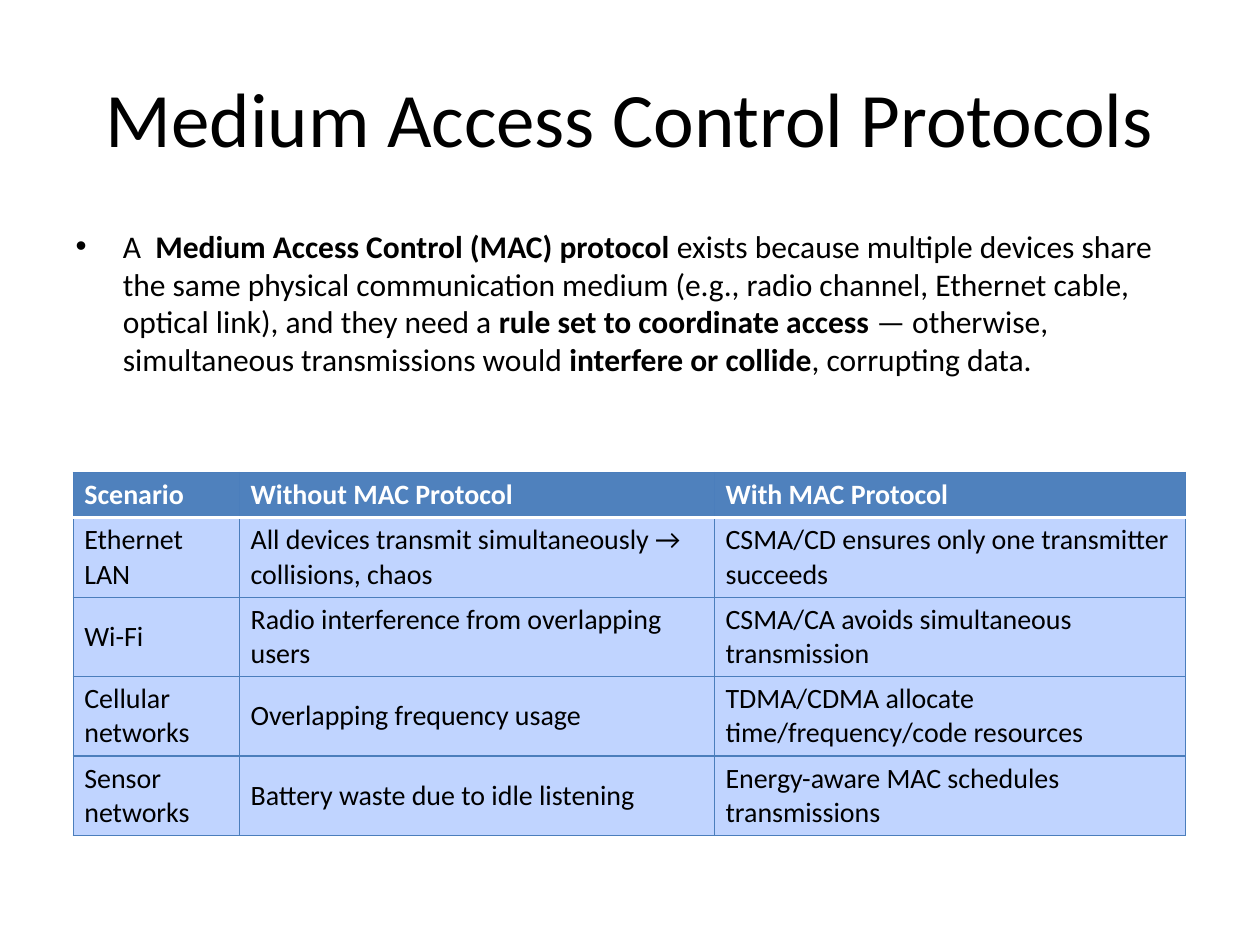
from lxml import etree
from pptx import Presentation
from pptx.dml.color import RGBColor
from pptx.enum.text import MSO_ANCHOR, PP_ALIGN
from pptx.oxml.ns import qn
from pptx.util import Inches, Pt

MIDDLE, CENTER = MSO_ANCHOR.MIDDLE, PP_ALIGN.CENTER
FONT = "Calibri"
COLORS = {"text": "000000", "header_text": "FFFFFF", "header": "4F81BD",
          "cell": "C0D4FF", "border": "4B7EBC", "header_rule": "FFFFFF"}

TITLE = "Medium Access Control Protocols"
BODY = [  # text, bold
    ("A ", False),
    (" Medium Access Control (MAC) protocol", True),
    (" exists because multiple devices share the same physical communication medium "
     "(e.g., radio channel, Ethernet cable, optical link), and they need a ", False),
    ("rule set to coordinate access", True),
    (" — otherwise, simultaneous transmissions would ", False),
    ("interfere or collide", True),
    (", corrupting data.", False),
]
ROWS = [
    ("Scenario", "Without MAC Protocol", "With MAC Protocol"),
    ("Ethernet LAN", "All devices transmit simultaneously → collisions, chaos",
     "CSMA/CD ensures only one transmitter succeeds"),
    ("Wi-Fi", "Radio interference from overlapping users",
     "CSMA/CA avoids simultaneous transmission"),
    ("Cellular networks", "Overlapping frequency usage",
     "TDMA/CDMA allocate time/frequency/code resources"),
    ("Sensor networks", "Battery waste due to idle listening",
     "Energy-aware MAC schedules transmissions"),
]
COL_WIDTHS = (1.32, 3.77, 3.74)
ROW_HEIGHTS = [0.36] + [0.63] * (len(ROWS) - 1)


def rgb(name):
    return RGBColor.from_string(COLORS[name])


def place(shape, left, top, width, height):
    shape.left, shape.top = Inches(left), Inches(top)
    shape.width, shape.height = Inches(width), Inches(height)


def style(font, size, color):
    font.name, font.size, font.color.rgb = FONT, Pt(size), rgb(color)


def add_border(cell, side, color, width):
    """Draw one cell side (L, R, T or B); call before setting the cell's fill."""
    tc_pr = cell._tc.get_or_add_tcPr()
    ln = etree.SubElement(tc_pr, qn(f"a:ln{side}"), w=str(Pt(width)))
    fill = etree.SubElement(ln, qn("a:solidFill"))
    etree.SubElement(fill, qn("a:srgbClr"), val=COLORS[color])


def format_cell(cell, text, row):
    header = row == 0
    for side in "LRTB":
        is_rule = (row, side) in ((0, "B"), (1, "T"))
        add_border(cell, side, *(("header_rule", 2) if is_rule else ("border", 0.75)))
    cell.fill.solid()
    cell.fill.fore_color.rgb = rgb("header" if header else "cell")
    cell.vertical_anchor = MIDDLE
    cell.margin_left = cell.margin_right = Inches(0.09)
    cell.margin_top = cell.margin_bottom = Inches(0.04)
    cell.text = text
    p = cell.text_frame.paragraphs[0]
    style(p.font, 16, "header_text" if header else "text")
    p.font.bold = header


prs = Presentation()
prs.slide_width, prs.slide_height = Inches(10), Inches(7.5)
s = prs.slides.add_slide(prs.slide_layouts[1])

title, body = s.placeholders
place(title, 0.5, 0.3, 9, 1.25)
title.text_frame.text = TITLE
title.text_frame.vertical_anchor = MIDDLE
p = title.text_frame.paragraphs[0]
p.alignment = CENTER
style(p.font, 44, "text")

place(body, 0.5, 1.75, 9, 4.95)
p = body.text_frame.paragraphs[0]
p.space_before = Pt(0)
style(p.font, 18, "text")
for text, bold in BODY:
    r = p.add_run()
    r.text, r.font.bold = text, bold

table = s.shapes.add_table(len(ROWS), len(COL_WIDTHS), Inches(0.58), Inches(3.75),
                           Inches(sum(COL_WIDTHS)), Inches(sum(ROW_HEIGHTS))).table
for column, width in zip(table.columns, COL_WIDTHS):
    column.width = Inches(width)
for i, (row, height) in enumerate(zip(table.rows, ROW_HEIGHTS)):
    row.height = Inches(height)
    for cell, text in zip(row.cells, ROWS[i]):
        format_cell(cell, text, i)

prs.save("out.pptx")
